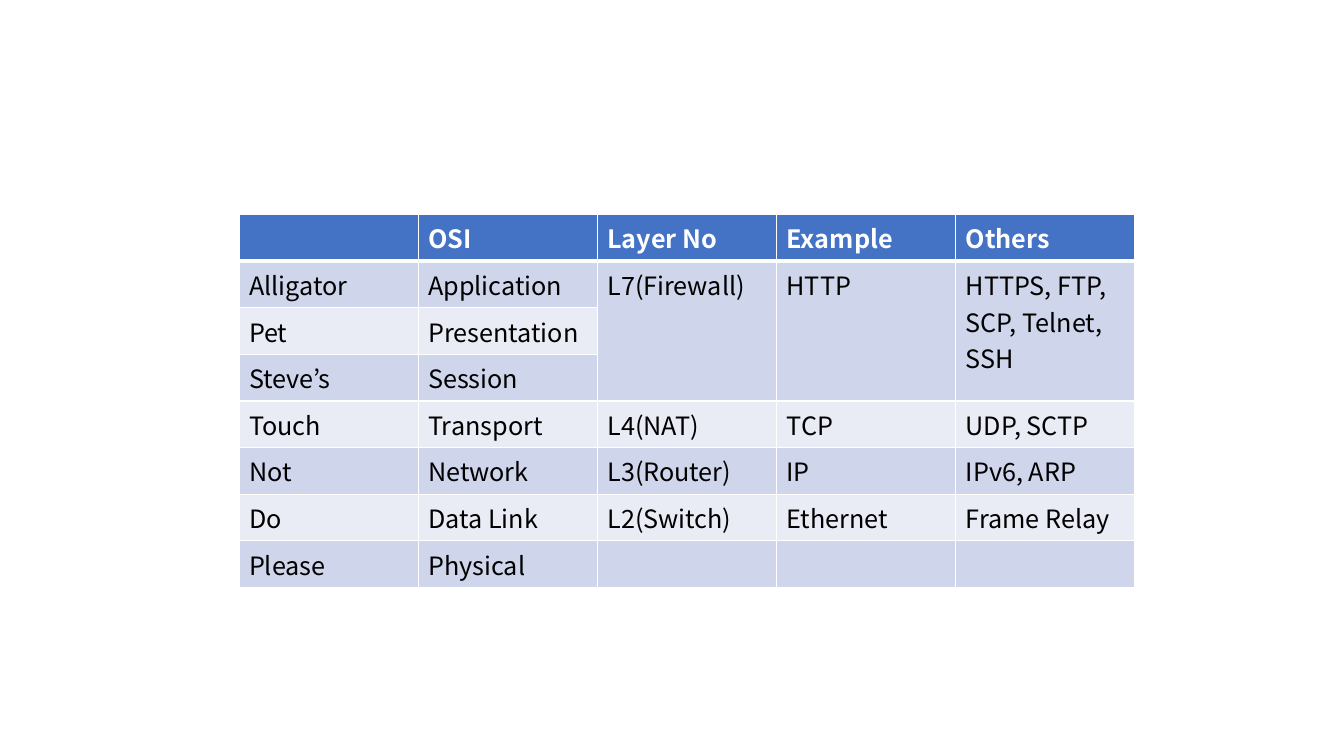
from lxml import etree
from pptx import Presentation
from pptx.dml.color import RGBColor
from pptx.oxml.ns import qn
from pptx.util import Inches, Pt

FONT = "Noto Sans CJK KR"
TEXT_SIZE = 18
WHITE, BLACK, BLUE = "FFFFFF", "000000", "4472C4"
BANDS = ("CFD5EA", "E9EBF5")
THIN, THICK = 1, 3
HEADER = ("", "OSI", "Layer No", "Example", "Others")
LAYERS = (
    ("Alligator", "Application", "L7(Firewall)", "HTTP", "HTTPS, FTP, SCP, Telnet, SSH"),
    ("Pet", "Presentation", "", "", ""),
    ("Steve’s", "Session", "", "", ""),
    ("Touch", "Transport", "L4(NAT)", "TCP", "UDP, SCTP"),
    ("Not", "Network", "L3(Router)", "IP", "IPv6, ARP"),
    ("Do", "Data Link", "L2(Switch)", "Ethernet", "Frame Relay"),
    ("Please", "Physical", "", "", ""),
)
MERGED_COLUMNS, MERGED_ROWS = (2, 3, 4), (1, 3)


def colour(value):
    return RGBColor.from_string(value)


def set_borders(cell, top, bottom):
    """Draw white cell edges; the lines must precede the fill."""
    properties = cell._tc.get_or_add_tcPr()
    edges = (("a:lnL", THIN), ("a:lnR", THIN), ("a:lnT", top), ("a:lnB", bottom))
    for place, (tag, width) in enumerate(edges):
        line = etree.Element(qn(tag), w=str(Pt(width)))
        fill = etree.SubElement(line, qn("a:solidFill"))
        etree.SubElement(fill, qn("a:srgbClr"), val=WHITE)
        properties.insert(place, line)


def write_cell(cell, text, is_header):
    para = cell.text_frame.paragraphs[0]
    para.font.size = Pt(TEXT_SIZE)
    if not text:
        return
    span = para.add_run()
    span.text = text
    span.font.name = FONT
    span.font.size = Pt(TEXT_SIZE)
    span.font.bold = is_header
    span.font.color.rgb = colour(WHITE if is_header else BLACK)


def add_layer_table(page, box):
    rows = (HEADER, *LAYERS)
    table = page.shapes.add_table(len(rows), len(HEADER), *box).table
    for row_index, texts in enumerate(rows):
        is_header = row_index == 0
        shade = BLUE if is_header else BANDS[(row_index - 1) % 2]
        for column_index, text in enumerate(texts):
            cell = table.cell(row_index, column_index)
            cell.fill.solid()
            cell.fill.fore_color.rgb = colour(shade)
            set_borders(cell, THICK if row_index == 1 else THIN,
                        THICK if is_header else THIN)
            write_cell(cell, text, is_header)
    # The top three layers share one cell in the detail columns
    first, last = MERGED_ROWS
    for column_index in MERGED_COLUMNS:
        table.cell(first, column_index).merge(table.cell(last, column_index))


deck = Presentation()
deck.slide_width, deck.slide_height = Inches(13.33), Inches(7.5)
page = deck.slides.add_slide(deck.slide_layouts[6])

# Table box as shares of the slide: two thirds wide
wide, high = deck.slide_width, deck.slide_height
add_layer_table(page, (int(wide * 0.1778), int(high * 0.284),
                       wide * 2 // 3, int(high * 0.432)))
deck.save("out.pptx")
